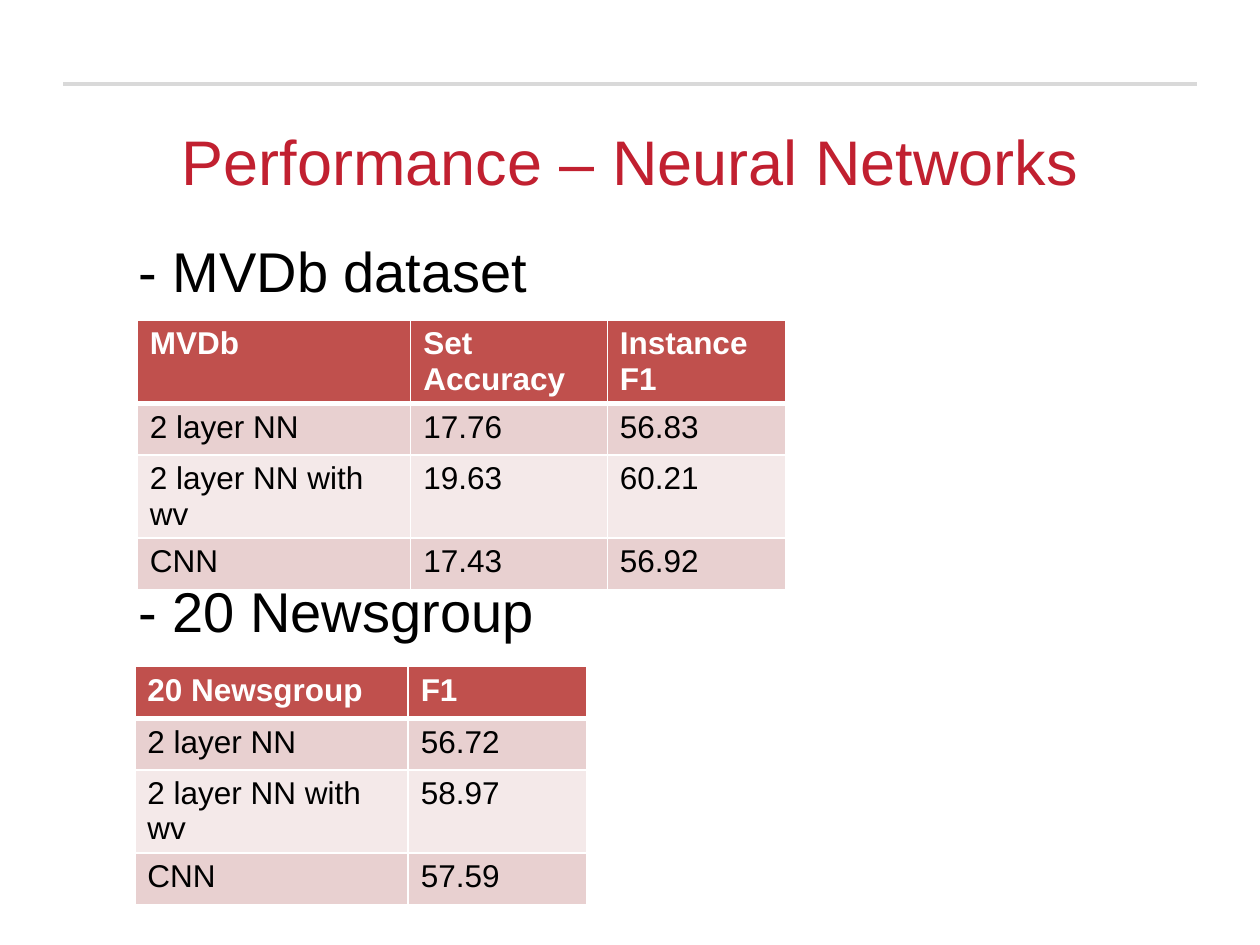
from dataclasses import dataclass

from lxml.etree import SubElement
from pptx import Presentation
from pptx.dml.color import RGBColor
from pptx.enum.shapes import MSO_CONNECTOR
from pptx.enum.text import MSO_ANCHOR, MSO_AUTO_SIZE, PP_ALIGN
from pptx.oxml.ns import qn
from pptx.util import Inches, Pt

FONT = "Arial"
WHITE = RGBColor(0xFF, 0xFF, 0xFF)
BLACK = RGBColor(0x00, 0x00, 0x00)
CRIMSON = RGBColor(0xC1, 0x20, 0x30)
RULE_GRAY = RGBColor(0xD9, 0xD9, 0xD9)
HEADER_RED = RGBColor(0xC0, 0x50, 0x4D)
BANDS = (RGBColor(0xF4, 0xE9, 0xE9), RGBColor(0xE8, 0xD0, 0xD0))
ROW_HEIGHT = 0.41


@dataclass
class Label:
    text: str
    box: tuple[float, float, float, float]
    size: int = 32
    color: RGBColor = BLACK
    align: PP_ALIGN = PP_ALIGN.LEFT
    wrap: bool = False


@dataclass
class ResultTable:
    left: float
    top: float
    widths: list[float]
    rows: list[list[str]]


LABELS = [
    Label("Performance – Neural Networks", (0.5, 0.92, 9, 0.83), 36, CRIMSON,
          PP_ALIGN.CENTER, True),
    Label("- MVDb dataset", (1, 1.83, 3.5, 0.64)),
    Label("- 20 Newsgroup", (1, 4.53, 3.5, 0.64)),
]

TABLES = [
    ResultTable(1.09, 2.54, [2.17, 1.56, 1.42], [
        ["MVDb", "Set Accuracy", "Instance F1"],
        ["2 layer NN", "17.76", "56.83"],
        ["2 layer NN with wv", "19.63", "60.21"],
        ["CNN", "17.43", "56.92"],
    ]),
    ResultTable(1.07, 5.29, [2.17, 1.42], [
        ["20 Newsgroup", "F1"],
        ["2 layer NN", "56.72"],
        ["2 layer NN with wv", "58.97"],
        ["CNN", "57.59"],
    ]),
]


def write(p, text: str, size: int, color: RGBColor, bold: bool = False) -> None:
    r = p.add_run()
    r.text = text
    r.font.color.rgb = color
    for name, value in {"name": FONT, "size": Pt(size), "bold": bold}.items():
        setattr(r.font, name, value)


def add_label(s, label: Label) -> None:
    tf = s.shapes.add_textbox(*map(Inches, label.box)).text_frame
    frame_format = {"word_wrap": label.wrap, "auto_size": MSO_AUTO_SIZE.NONE,
                    "vertical_anchor": MSO_ANCHOR.TOP}
    for name, value in frame_format.items():
        setattr(tf, name, value)
    p = tf.paragraphs[0]
    p.alignment = label.align
    write(p, label.text, label.size, label.color)


def add_borders(cell, top: int, bottom: int) -> None:
    tc_pr = cell._tc.get_or_add_tcPr()
    for side, width in {"L": 1, "R": 1, "T": top, "B": bottom}.items():
        ln = SubElement(tc_pr, qn(f"a:ln{side}"), w=str(Pt(width)))
        fill = SubElement(ln, qn("a:solidFill"))
        SubElement(fill, qn("a:srgbClr"), val=str(WHITE))


def add_results(s, spec: ResultTable) -> None:
    box = (spec.left, spec.top, sum(spec.widths), ROW_HEIGHT * len(spec.rows))
    table = s.shapes.add_table(len(spec.rows), len(spec.widths),
                               *map(Inches, box)).table
    for column, width in zip(table.columns, spec.widths):
        column.width = Inches(width)
    for i, row in enumerate(spec.rows):
        table.rows[i].height = Inches(ROW_HEIGHT)
        header = i == 0
        for j, text in enumerate(row):
            cell = table.cell(i, j)
            # A heavier rule separates the header from the body
            add_borders(cell, top=3 if i == 1 else 1, bottom=3 if header else 1)
            cell.fill.solid()
            cell.fill.fore_color.rgb = HEADER_RED if header else BANDS[i % 2]
            write(cell.text_frame.paragraphs[0], text, 18,
                  WHITE if header else BLACK, header)


def add_rule(s) -> None:
    ends = map(Inches, (0.5, 0.67, 9.5, 0.67))
    rule = s.shapes.add_connector(MSO_CONNECTOR.STRAIGHT, *ends)
    rule.line.color.rgb = RULE_GRAY
    rule.line.width = Pt(2.25)
    SubElement(rule._element.spPr, qn("a:effectLst"))


def main() -> None:
    prs = Presentation()
    prs.slide_width, prs.slide_height = Inches(10), Inches(7.5)
    s = prs.slides.add_slide(prs.slide_layouts[6])

    # Top rule
    add_rule(s)
    # Result tables
    for spec in TABLES:
        add_results(s, spec)
    # Title and dataset headings
    for label in LABELS:
        add_label(s, label)

    prs.save("out.pptx")


if __name__ == "__main__":
    main()
